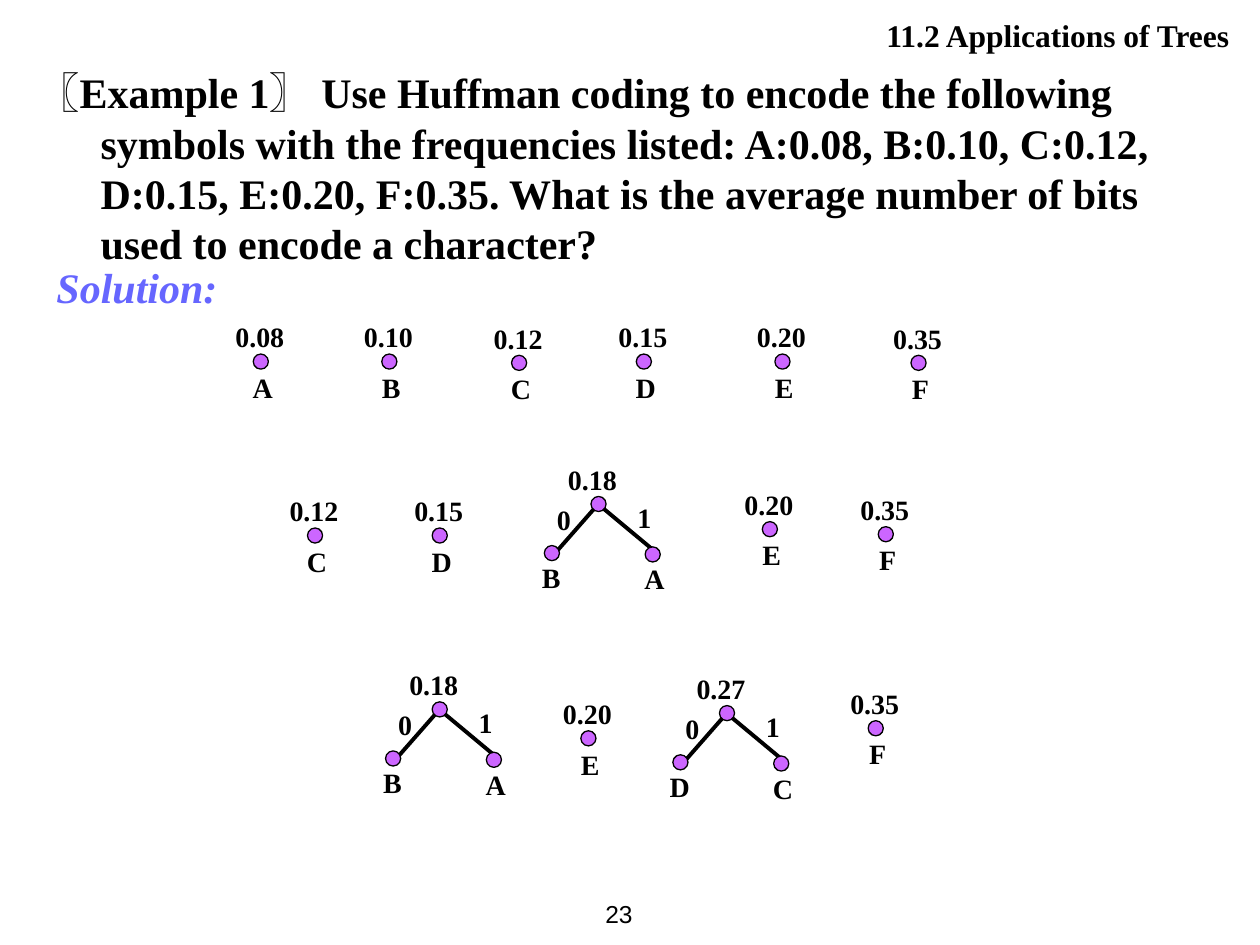
from lxml import etree
from pptx import Presentation
from pptx.dml.color import RGBColor
from pptx.enum.shapes import MSO_CONNECTOR as CONN, MSO_SHAPE as SHAPE
from pptx.enum.text import MSO_ANCHOR as ANCHOR, MSO_AUTO_SIZE as AUTO, PP_ALIGN as ALIGN
from pptx.oxml.ns import qn
from pptx.util import Inches, Pt

BLACK = RGBColor(0x00, 0x00, 0x00)
BLUE = RGBColor(0x66, 0x66, 0xFF)
PURPLE = RGBColor(0xCC, 0x66, 0xFF)
SERIF = "Times New Roman"
DOT = 0.12

PROBLEM = (
    "Example 1〗 Use Huffman coding to encode the following symbols with the "
    "frequencies listed: A:0.08, B:0.10, C:0.12, D:0.15, E:0.20, F:0.35. "
    "What is the average number of bits used to encode a character?"
)

FORESTS = [
    [(2.01, 2.81, "0.08", "A"), (3.03, 2.81, "0.10", "B"), (4.06, 2.82, "0.12", "C"),
     (5.05, 2.81, "0.15", "D"), (6.15, 2.81, "0.20", "E"), (7.23, 2.82, "0.35", "F")],
    [(2.44, 4.19, "0.12", "C"), (3.43, 4.19, "0.15", "D"), (4.69, 3.94, "0.18", "BA"),
     (6.05, 4.14, "0.20", "E"), (6.97, 4.18, "0.35", "F")],
    [(3.43, 5.57, "0.18", "BA"), (4.61, 5.80, "0.20", "E"), (5.71, 5.60, "0.27", "DC"),
     (6.89, 5.72, "0.35", "F")],
]


def add_text(shapes, text, x, y, w=0.63, h=0.52, size=16, align=ALIGN.CENTER):
    tf = shapes.add_textbox(Inches(x), Inches(y), Inches(w), Inches(h)).text_frame
    tf.word_wrap = True
    p = tf.paragraphs[0]
    p.text = text
    p.alignment = align
    p.font.name = SERIF
    p.font.size = Pt(size)
    p.font.bold = True
    p.font.color.rgb = BLACK
    return tf


def add_dot(shapes, x, y):
    sp = shapes.add_shape(SHAPE.OVAL, Inches(x), Inches(y), Inches(DOT), Inches(DOT))
    sp.shadow.inherit = False
    sp.fill.solid()
    sp.fill.fore_color.rgb = PURPLE
    sp.line.color.rgb = BLACK
    sp.line.width = Pt(0.75)


prs = Presentation()
prs.slide_width, prs.slide_height = Inches(10), Inches(7.5)
s = prs.slides.add_slide(prs.slide_layouts[5])

title = s.shapes.title
title.left, title.top, title.width, title.height = map(Inches, (3.98, 0.08, 5.94, 0.4))
tf = title.text_frame
tf.auto_size = AUTO.NONE
tf.vertical_anchor = ANCHOR.TOP
p = tf.paragraphs[0]
p.text = " 11.2 Applications of Trees "
p.alignment = ALIGN.RIGHT
p.font.name = SERIF
p.font.size = Pt(18)
p.font.bold = True
p.font.color.rgb = BLACK

tf = add_text(s.shapes, "〖", 0.2, 0.48, 9.53, 1.72, 24, ALIGN.LEFT)
p = tf.paragraphs[0]
pPr = p._p.get_or_add_pPr()
pPr.set("marL", str(Inches(0.5)))
pPr.set("indent", str(Inches(-0.5)))
p.runs[0].font.name = "Arial"
p.add_run().text = PROBLEM

tf = add_text(s.shapes, "Solution:", 0.35, 2.03, 9.14, 0.5, 24, ALIGN.LEFT)
tf.paragraphs[0].font.italic = True
tf.paragraphs[0].font.color.rgb = BLUE

tf = add_text(s.shapes, "23", 4.45, 7, 0.67, 0.5, 14, ALIGN.RIGHT)
tf.word_wrap = False
tf.vertical_anchor = ANCHOR.MIDDLE
tf.paragraphs[0].font.name = "Arial"
tf.paragraphs[0].font.bold = False

for forest in FORESTS:
    shapes = s.shapes.add_group_shape().shapes
    for x, y, value, symbols in forest:
        if len(symbols) == 1:
            add_dot(shapes, x, y)
            add_text(shapes, value, x - 0.24, y - 0.32, align=ALIGN.JUSTIFY)
            add_text(shapes, symbols, x - 0.24, y + 0.08)
            continue
        for x1, y1, x2, y2 in [(0.08, 0.08, 0.5, 0.43), (0.05, 0.07, -0.31, 0.48)]:
            edge = shapes.add_connector(CONN.STRAIGHT, Inches(x + x1), Inches(y + y1),
                                        Inches(x + x2), Inches(y + y2))
            edge.line.color.rgb = BLACK
            edge.line.width = Pt(2.25)
            etree.SubElement(edge._element.spPr, qn("a:effectLst"))
        add_dot(shapes, x, y)
        add_text(shapes, value, x - 0.28, y - 0.32, align=ALIGN.JUSTIFY)
        add_text(shapes, "0", x - 0.53, y, h=0.43)
        add_text(shapes, "1", x + 0.11, y - 0.02)
        for symbol, dx, dy, shift in zip(symbols, (-0.37, 0.43), (0.39, 0.4), (0.26, 0.24)):
            add_dot(shapes, x + dx, y + dy)
            add_text(shapes, symbol, x + dx - shift, y + dy + 0.07)

prs.save("out.pptx")
